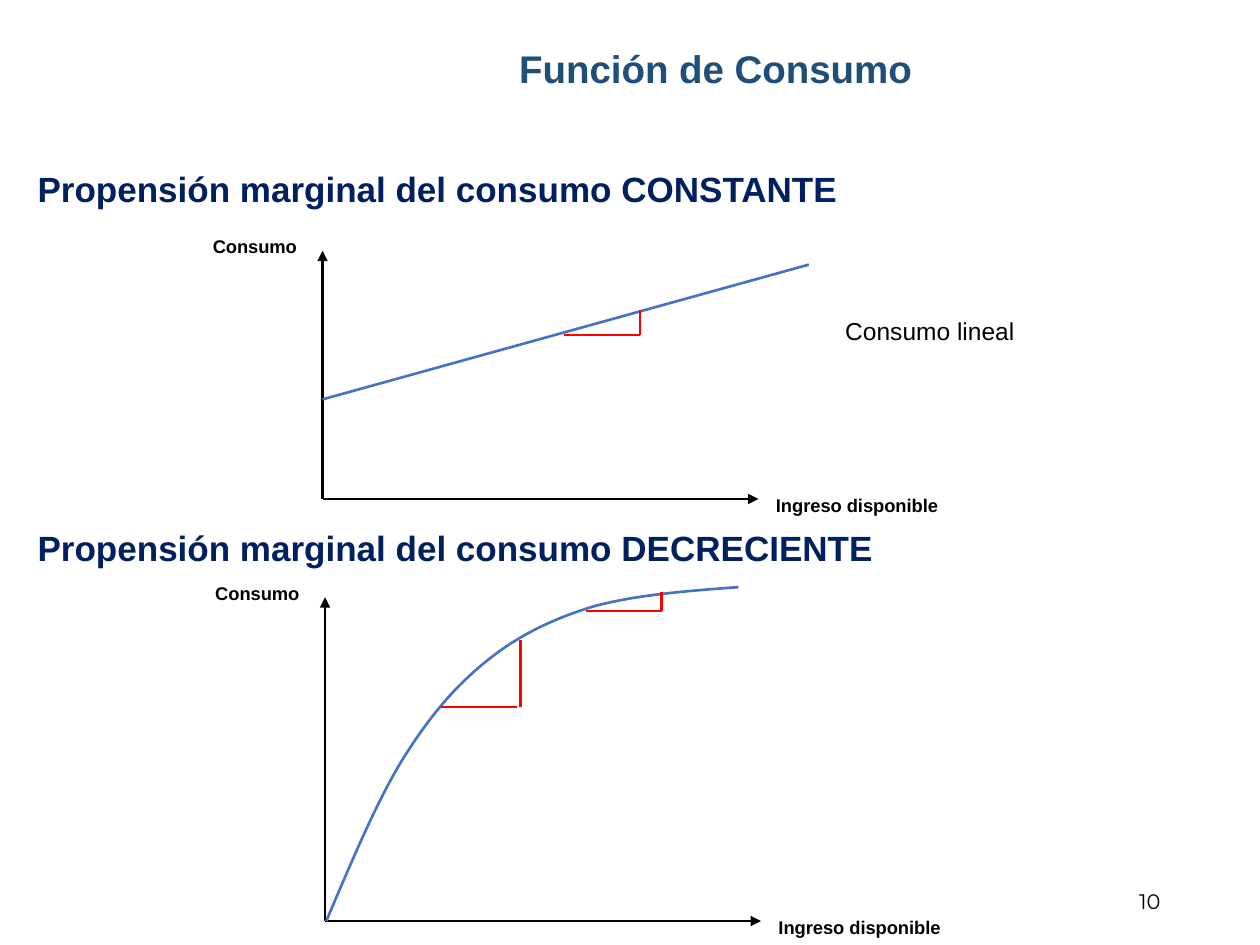
"""Builds a slide that compares constant and decreasing marginal propensity to consume."""
from lxml import etree
from pptx import Presentation
from pptx.dml.color import RGBColor
from pptx.enum.shapes import MSO_CONNECTOR
from pptx.enum.text import MSO_ANCHOR, MSO_AUTO_SIZE, PP_ALIGN
from pptx.oxml.ns import qn
from pptx.util import Inches, Pt

STRAIGHT = MSO_CONNECTOR.STRAIGHT
MIDDLE = MSO_ANCHOR.MIDDLE
FIT_SHAPE, NO_FIT = MSO_AUTO_SIZE.SHAPE_TO_FIT_TEXT, MSO_AUTO_SIZE.NONE
LEFT, CENTER, RIGHT = PP_ALIGN.LEFT, PP_ALIGN.CENTER, PP_ALIGN.RIGHT

BLACK, TITLE_BLUE, NAVY, BLUE, RED = "000000", "1F4E79", "002060", "4472C4", "FF0000"
LINE_WIDTH = 1.5
AXIS_LENGTH = 3.46
CURVE_STEPS = 16

TITLE = "Función de Consumo"
HEADINGS = [
    ("Propensión marginal del consumo CONSTANTE", (0.2, 1.28, 6.6, 0.44)),
    ("Propensión marginal del consumo DECRECIENTE", (0.2, 4.13, 6.89, 0.44)),
]
GRAPHS = [
    {
        "origin": (2.56, 3.96),
        "axis_top": 1.99,
        "lines": [((2.56, 3.17), (6.42, 2.1))],
        "curve": [],
        "slopes": [((4.48, 2.66), (5.08, 2.66)), ((5.08, 2.66), (5.08, 2.46))],
        "notes": [("Consumo lineal", (6.61, 2.46, 1.55, 0.34))],
    },
    {
        "origin": (2.58, 7.31),
        "axis_top": 4.74,
        "lines": [],
        "curve": [
            (2.59, 7.31), (2.79, 6.84), (2.99, 6.36), (3.2, 6.02),
            (3.42, 5.67), (3.62, 5.44), (3.87, 5.24),
            (4.12, 5.04), (4.39, 4.91), (4.72, 4.81),
            (5.06, 4.72), (5.46, 4.69), (5.86, 4.66),
        ],
        "slopes": [
            ((3.5, 5.61), (4.1, 5.61)), ((4.13, 5.61), (4.13, 5.08)),
            ((4.65, 4.85), (5.25, 4.85)), ((5.25, 4.85), (5.25, 4.7)),
        ],
        "notes": [],
    },
]
PAGE_NUMBER = "10"


def color(value):
    return RGBColor.from_string(value)


def write(box, text, size, ink, bold=False, align=LEFT, font="Arial"):
    para = box.text_frame.paragraphs[0]
    para.alignment = align
    span = para.add_run()
    span.text = text
    span.font.name, span.font.size, span.font.bold = font, Pt(size), bold
    span.font.color.rgb = color(ink)


def add_label(shapes, text, place, size, ink, bold=False):
    box = shapes.add_textbox(*map(Inches, place))
    box.text_frame.word_wrap = False
    box.text_frame.auto_size = FIT_SHAPE
    write(box, text, size, ink, bold)


def style_line(line, ink):
    line.color.rgb = color(ink)
    line.width = Pt(LINE_WIDTH)


def add_line(shapes, start, end, ink, arrow=False):
    connector = shapes.add_connector(STRAIGHT, *map(Inches, (*start, *end)))
    style_line(connector.line, ink)
    if arrow:
        outline = connector.line._get_or_add_ln()
        etree.SubElement(outline, qn("a:tailEnd"), type="triangle")
    etree.SubElement(connector._element.spPr, qn("a:effectLst"))


def bezier(controls, t):
    weights = ((1 - t) ** 3, 3 * t * (1 - t) ** 2, 3 * t * t * (1 - t), t ** 3)
    return tuple(
        Inches(sum(weight * point[axis] for weight, point in zip(weights, controls)))
        for axis in (0, 1)
    )


def add_curve(shapes, controls, ink):
    points = [
        bezier(controls[first:first + 4], step / CURVE_STEPS)
        for first in range(0, len(controls) - 1, 3)
        for step in range(1, CURVE_STEPS + 1)
    ]
    builder = shapes.build_freeform(*map(Inches, controls[0]))
    builder.add_line_segments(points, close=False)
    curve = builder.convert_to_shape()
    curve.shadow.inherit = False
    curve.fill.background()
    style_line(curve.line, ink)


def add_graph(page, graph):
    shapes = page.shapes.add_group_shape().shapes
    x, y = graph["origin"]
    top = graph["axis_top"]
    add_line(shapes, (x, y), (x + AXIS_LENGTH, y), BLACK, arrow=True)
    add_line(shapes, (x, y), (x, top), BLACK, arrow=True)
    add_label(shapes, "Ingreso disponible", (x + 3.5, y - 0.09, 1.51, 0.28), 10.5, BLACK, True)
    add_label(shapes, "Consumo", (x - 0.97, top - 0.17, 0.88, 0.28), 10.5, BLACK, True)
    for start, end in graph["lines"]:
        add_line(shapes, start, end, BLUE)
    if graph["curve"]:
        add_curve(shapes, graph["curve"], BLUE)
    for start, end in graph["slopes"]:
        add_line(shapes, start, end, RED)
    for text, place in graph["notes"]:
        add_label(shapes, text, place, 14, BLACK)


def main():
    deck = Presentation()
    deck.slide_width, deck.slide_height = Inches(10), Inches(7.5)
    page = deck.slides.add_slide(deck.slide_layouts[5])

    title = page.shapes.title
    title.left, title.top, title.width, title.height = map(Inches, (1.36, 0.05, 8.64, 0.98))
    title.text_frame.vertical_anchor = MIDDLE
    title.text_frame.auto_size = NO_FIT
    write(title, TITLE, 22, TITLE_BLUE, True, CENTER)

    for text, place in HEADINGS:
        add_label(page.shapes, text, place, 20, NAVY, True)

    number = page.shapes.add_textbox(*map(Inches, (7.06, 6.95, 2.25, 0.4)))
    number.text_frame.word_wrap = True
    number.text_frame.vertical_anchor = MIDDLE
    write(number, PAGE_NUMBER, 12, BLACK, align=RIGHT, font="Montserrat")

    for graph in GRAPHS:
        add_graph(page, graph)
    deck.save("out.pptx")


if __name__ == "__main__":
    main()
